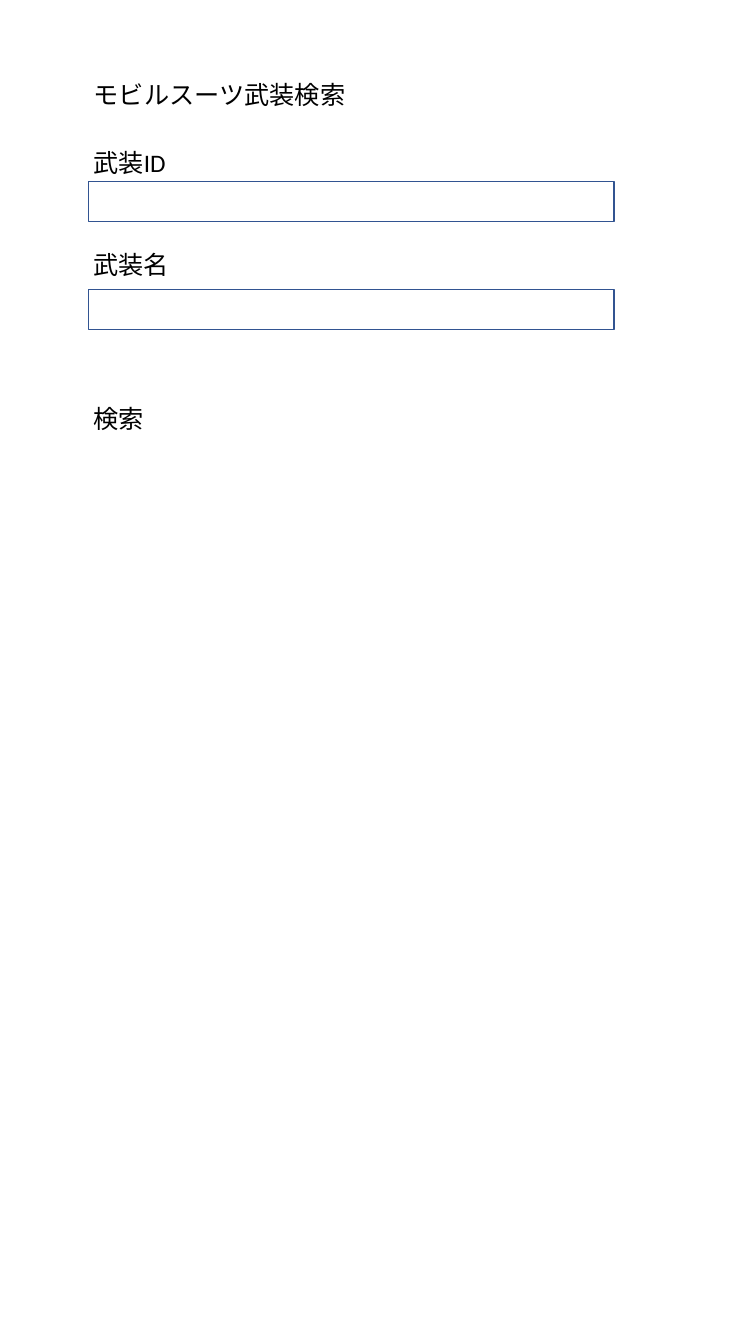
from pptx import Presentation
from pptx.dml.color import RGBColor
from pptx.enum.shapes import MSO_SHAPE as Shape
from pptx.enum.text import MSO_ANCHOR as Anchor, MSO_AUTO_SIZE as Fit, PP_ALIGN as Align
from pptx.util import Inches, Pt

TITLE = ("モビルスーツ武装検索", 0.74, 2.92)
LABELS = [("武装ID", 1.41), ("武装名", 2.42), ("検索", 3.95)]
FIELDS = [1.8, 2.87]
LEFT, INSET, ROW = 0.83, 0.05, 0.4
LABEL_W, FIELD_W = 1.64, 5.21
INK, PAPER, EDGE = "000000", "FFFFFF", "325491"


def color(code):
    return RGBColor.from_string(code)


def area(left, top, width):
    return [Inches(n) for n in (left, top, width, ROW)]


def write(box, text):
    frame = box.text_frame
    frame.text = text
    frame.word_wrap = True
    frame.auto_size = Fit.SHAPE_TO_FIT_TEXT
    frame.vertical_anchor = Anchor.TOP
    line = frame.paragraphs[0]
    line.alignment = Align.LEFT
    line.font.name = "Calibri"
    line.font.size = Pt(18)
    line.font.color.rgb = color(INK)


deck = Presentation()
deck.slide_width, deck.slide_height = Inches(7.5), Inches(13.33)
slide = deck.slides.add_slide(deck.slide_layouts[5])
shapes = slide.shapes

text, top, width = TITLE
title = shapes.title
title.left, title.top, title.width, title.height = area(LEFT, top, width)
write(title, text)

for top in FIELDS:
    field = shapes.add_shape(Shape.RECTANGLE, *area(LEFT + INSET, top, FIELD_W))
    field.shadow.inherit = False
    field.fill.solid()
    field.fill.fore_color.rgb = color(PAPER)
    field.line.color.rgb = color(EDGE)
    field.line.width = Pt(1)

for text, top in LABELS:
    write(shapes.add_textbox(*area(LEFT, top, LABEL_W)), text)

deck.save("out.pptx")
